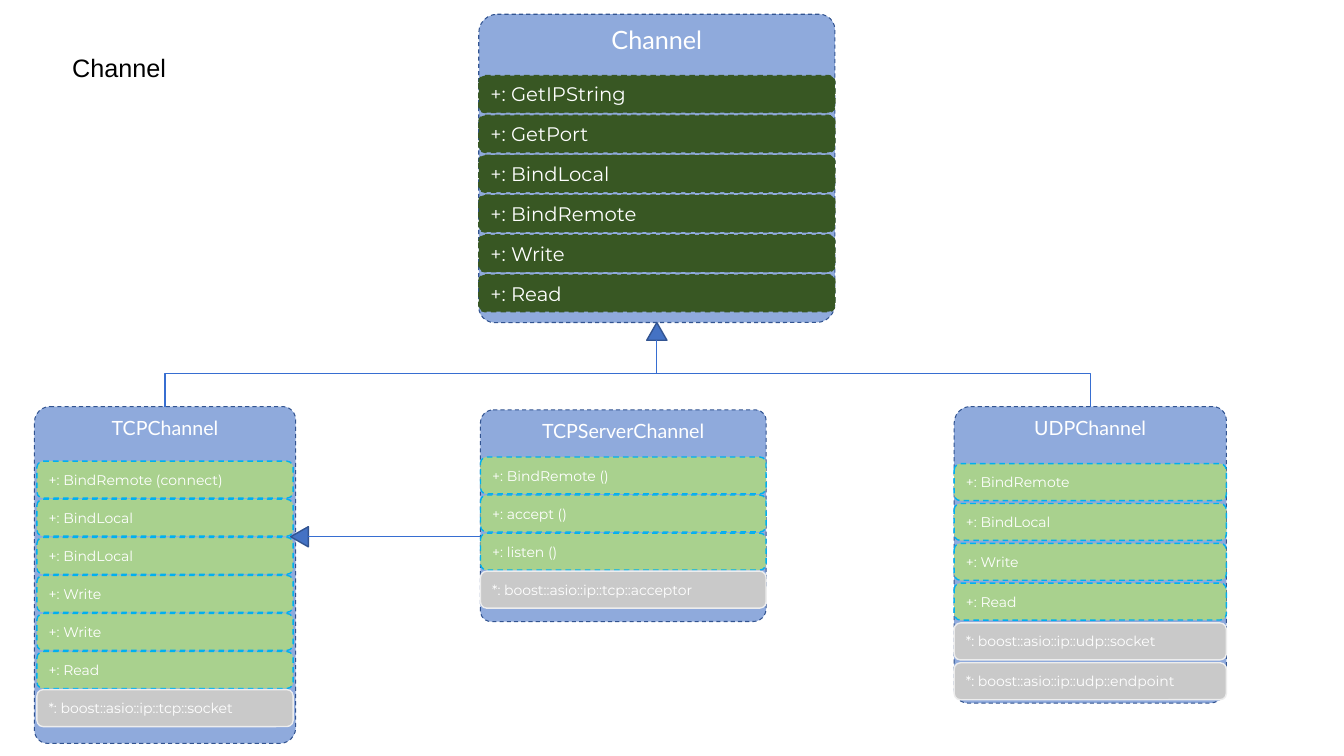
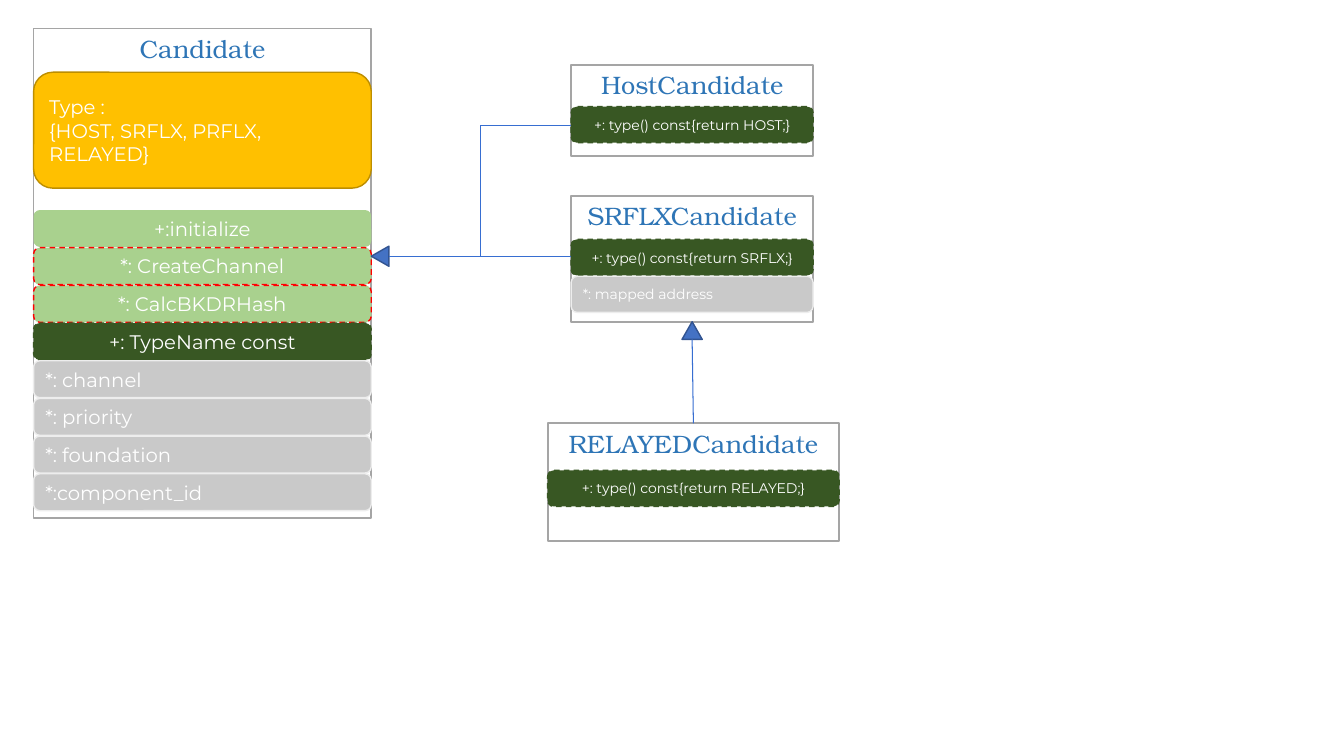
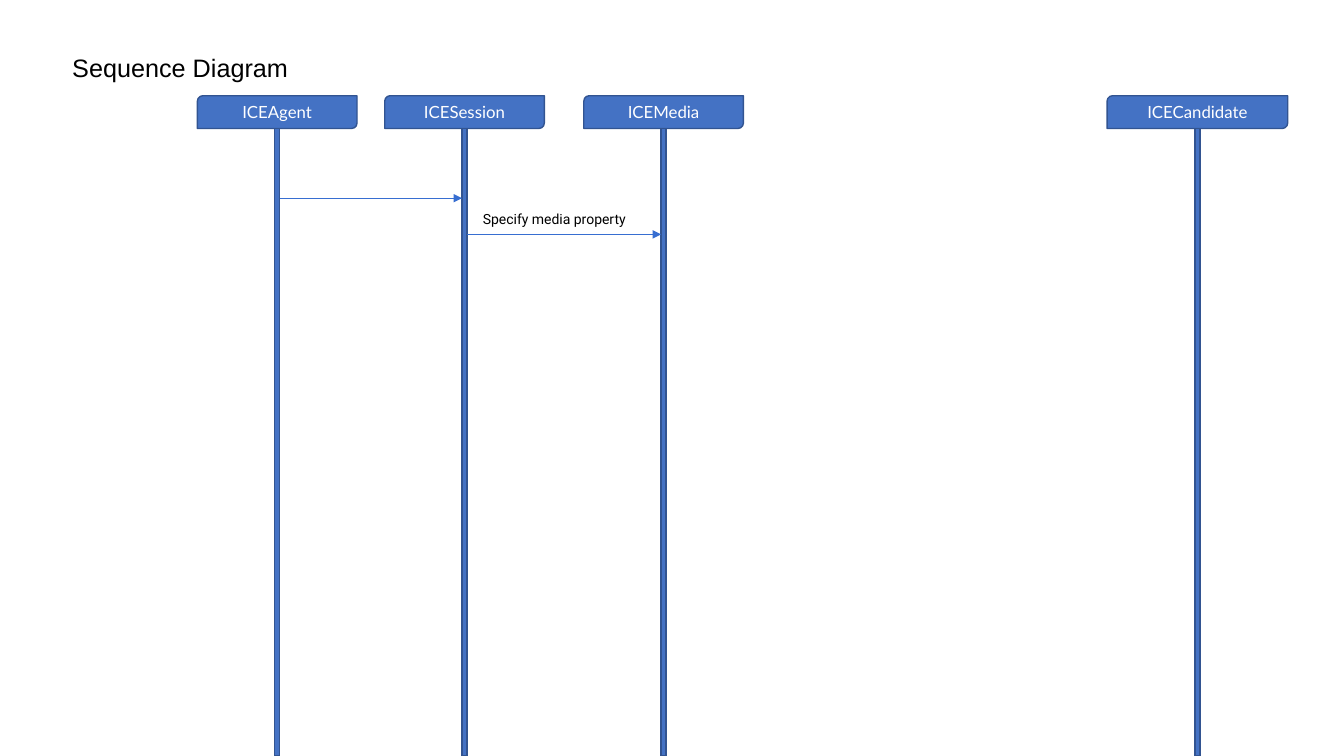
from collections import namedtuple

from lxml import etree
from pptx import Presentation
from pptx.dml.color import RGBColor
from pptx.enum.dml import MSO_LINE
from pptx.enum.shapes import MSO_CONNECTOR, MSO_SHAPE
from pptx.enum.text import MSO_ANCHOR, MSO_AUTO_SIZE, PP_ALIGN
from pptx.oxml.ns import qn
from pptx.util import Inches, Pt

LEFT, CENTER = PP_ALIGN.LEFT, PP_ALIGN.CENTER
TOP, MIDDLE = MSO_ANCHOR.TOP, MSO_ANCHOR.MIDDLE
STRAIGHT, ELBOW = MSO_CONNECTOR.STRAIGHT, MSO_CONNECTOR.ELBOW
RECT, ROUNDED = MSO_SHAPE.RECTANGLE, MSO_SHAPE.ROUNDED_RECTANGLE
DIAGONAL = MSO_SHAPE.ROUND_2_DIAG_RECTANGLE
TRIANGLE = MSO_SHAPE.ISOSCELES_TRIANGLE
TITLE_ONLY, BLANK = 5, 6

# The slide is a grid of 160 columns by 90 rows; all lengths are in its cells
COLUMNS, ROWS = 160, 90
SLIDE_W, SLIDE_H = Inches(13.33), Inches(7.5)

WHITE, BLACK = "FFFFFF", "000000"
BLUE, NAVY, LINK_BLUE = "4472C4", "325491", "376ED1"
HEADING_FONT, MEMBER_FONT, CANDIDATE_FONT = "Lato", "Montserrat", "TeX Gyre Bonum"

# Fill, line colour, line width, dashed
Look = namedtuple("Look", "fill line width dashed", defaults=(None, 1, False))
SOLID = Look(BLUE, NAVY)
ENUM = Look("FFC000", "BD8E00")
CHANNEL_CLASS = Look("8FAADC", NAVY, 0.75, True)
CANDIDATE_CLASS = Look(None, "A5A5A5", 1.25)
MEMBER_LOOKS = {
    "virtual": Look("385723", "385723", 1, True),
    "override": Look("A9D18E", "00B0F0", 1, True),
    "protected": Look("A9D18E", "FF0000", 1, True),
    "plain": Look("A9D18E"),
    "field": Look("C9C9C9", "EDEDED"),
}

MEMBER_H = 4.4
ARROW_W, ARROW_H = 2.4, 2.1


class Box(namedtuple("Box", "x y w h")):
    @property
    def center(self):
        return self.x + self.w / 2

    @property
    def bottom(self):
        return self.y + self.h


def across(cells):
    return int(SLIDE_W * cells / COLUMNS)


def down(cells):
    return int(SLIDE_H * cells / ROWS)


def place(box):
    return across(box.x), down(box.y), across(box.w), down(box.h)


def color(hex_string):
    return RGBColor.from_string(hex_string)


def write(frame, text, font, size, ink, align=LEFT, anchor=MIDDLE):
    frame.text = text
    frame.vertical_anchor = anchor
    for paragraph in frame.paragraphs:
        paragraph.alignment = align
        paragraph.font.name = font
        paragraph.font.size = Pt(size)
        paragraph.font.color.rgb = color(ink)


def add_block(slide, kind, box, look):
    block = slide.shapes.add_shape(kind, *place(box))
    block.shadow.inherit = False
    if look.fill:
        block.fill.solid()
        block.fill.fore_color.rgb = color(look.fill)
    else:
        block.fill.background()
    if look.line:
        block.line.color.rgb = color(look.line)
        block.line.width = Pt(look.width)
        if look.dashed:
            block.line.dash_style = MSO_LINE.DASH
    else:
        block.line.fill.background()
    return block


def add_link(slide, kind, start, end, arrow=False):
    link = slide.shapes.add_connector(
        kind, across(start[0]), down(start[1]), across(end[0]), down(end[1]))
    link.line.color.rgb = color(LINK_BLUE)
    link.line.width = Pt(0.75)
    if arrow:
        etree.SubElement(link.line._get_or_add_ln(), qn("a:tailEnd"), type="triangle")
    etree.SubElement(link._element.spPr, qn("a:effectLst"))
    return link


def add_tree_link(slide, start, end):
    """Elbow that leaves and arrives vertically: a sideways elbow, turned."""
    (x1, y1), (x2, y2) = start, end
    mid_x, mid_y = (x1 + x2) / 2, (y1 + y2) / 2
    half_drop, half_run = (y2 - y1) / 2, abs(x2 - x1) / 2
    side = 1 if x2 < x1 else -1
    link = add_link(slide, ELBOW,
                    (mid_x - side * half_drop, mid_y - half_run),
                    (mid_x + side * half_drop, mid_y + half_run))
    turn = 90 if side == 1 else 270
    link._element.spPr.find(qn("a:xfrm")).set("rot", str(turn * 60000))


def add_arrowhead(slide, tip, pointing_left=False):
    """Inheritance triangle; returns the middle of its base."""
    x, y = tip
    base = (x + ARROW_H, y) if pointing_left else (x, y + ARROW_H)
    mid_x, mid_y = (x + base[0]) / 2, (y + base[1]) / 2
    head = add_block(slide, TRIANGLE,
                     Box(mid_x - ARROW_W / 2, mid_y - ARROW_H / 2, ARROW_W, ARROW_H), SOLID)
    head.rotation = 270 if pointing_left else 0
    return base


def add_title(slide, text, width):
    title = slide.shapes.title
    title.left, title.top, title.width, title.height = place(Box(7.4, 5.6, width, 4.8))
    write(title.text_frame, text, "Arial", 18, BLACK)
    title.text_frame.word_wrap = False
    title.text_frame.auto_size = MSO_AUTO_SIZE.NONE


def add_members(slide, box, members, first, last, size, method_align=LEFT,
                inset=0, height=MEMBER_H):
    """Evenly spaced member rows; first and last are tops within the class box."""
    pitch = (last - first) / max(len(members) - 1, 1)
    for index, (kind, text) in enumerate(members):
        row_box = Box(box.x + inset, box.y + first + index * pitch,
                      box.w - 2 * inset, height)
        row = add_block(slide, ROUNDED, row_box, MEMBER_LOOKS[kind])
        align = LEFT if kind == "field" else method_align
        write(row.text_frame, text, MEMBER_FONT, size, WHITE, align)


def add_channel_class(slide, box, name, members, first, last,
                      name_size=14, member_size=10, inset=0):
    frame = add_block(slide, DIAGONAL, box, CHANNEL_CLASS)
    frame.adjustments[0], frame.adjustments[1] = 0.06, 0.05
    write(frame.text_frame, name, HEADING_FONT, name_size, WHITE, CENTER, TOP)
    add_members(slide, box, members, first, last, member_size, inset=inset)


def add_candidate_class(slide, box, name, members, first, last, size=10, height=4.3):
    frame = add_block(slide, RECT, box, CANDIDATE_CLASS)
    write(frame.text_frame, name, CANDIDATE_FONT, 18, "2E75B6", CENTER, TOP)
    add_members(slide, box, members, first, last, size, CENTER, height=height)


def add_lifeline(slide, box, name):
    head = add_block(slide, DIAGONAL, box, SOLID)
    write(head.text_frame, name, HEADING_FONT, 12, WHITE, CENTER)
    add_block(slide, RECT, Box(box.center - 0.3, box.bottom, 0.6, ROWS - box.bottom), SOLID)


def channel_slide(slide):
    add_title(slide, "Channel", 15.6)
    channel = Box(57, 1.7, 42.4, 36.7)
    tcp = Box(4.1, 48.4, 31.1, 40.1)
    server = Box(57.2, 48.8, 34, 25.2)
    udp = Box(113.6, 48.4, 32.4, 35.3)

    # Classes
    methods = ["GetIPString", "GetPort", "BindLocal", "BindRemote", "Write", "Read"]
    add_channel_class(slide, channel, "Channel",
                      [("virtual", f"+: {method}") for method in methods],
                      7.3, 31, name_size=18, member_size=14)
    subclasses = [
        (tcp, "TCPChannel",
         ["BindRemote (connect)", "BindLocal", "BindLocal", "Write", "Write", "Read"],
         ["tcp::socket"], 6.5, 33.7, 0.3),
        (server, "TCPServerChannel", ["BindRemote ()", "accept ()", "listen ()"],
         ["tcp::acceptor"], 5.6, 19.2, 0),
        (udp, "UDPChannel", ["BindRemote", "BindLocal", "Write", "Read"],
         ["udp::socket", "udp::endpoint"], 6.8, 30.5, 0),
    ]
    for box, name, overrides, fields, first, last, inset in subclasses:
        members = [("override", f"+: {method}") for method in overrides]
        members += [("field", f"*: boost::asio::ip::{field}") for field in fields]
        add_channel_class(slide, box, name, members, first, last, inset=inset)

    # Inheritance
    base = add_arrowhead(slide, (channel.center, channel.bottom))
    for child in (tcp, udp):
        add_tree_link(slide, base, (child.center, child.y))
    server_base = add_arrowhead(slide, (34.6, 63.9), pointing_left=True)
    add_link(slide, STRAIGHT, server_base, (server.x, server_base[1]))


def candidate_slide(slide):
    candidate = Box(4, 3.4, 40.2, 58.3)
    host = Box(68, 7.7, 28.8, 10.9)
    srflx = Box(68, 23.3, 28.8, 15)
    relayed = Box(65.2, 50.4, 34.7, 14)

    # Base class with its type list
    add_candidate_class(slide, candidate, "Candidate", [
        ("plain", "+:initialize"),
        ("protected", "*: CreateChannel"),
        ("protected", "*: CalcBKDRHash"),
        ("virtual", "+: TypeName const"),
        ("field", "*: channel"),
        ("field", "*: priority"),
        ("field", "*: foundation"),
        ("field", "*:component_id"),
    ], 21.6, 53, size=14, height=MEMBER_H)
    types = add_block(slide, ROUNDED,
                      Box(candidate.x, candidate.y + 5.2, candidate.w, 13.8), ENUM)
    write(types.text_frame, "Type :\n{HOST, SRFLX, PRFLX, RELAYED}",
          MEMBER_FONT, 14, WHITE)

    # Derived classes
    for box, kind, fields, first, last in [
        (host, "HOST", [], 5, 5),
        (srflx, "SRFLX", [("field", "*: mapped address")], 5.2, 9.6),
        (relayed, "RELAYED", [], 5.6, 5.6),
    ]:
        name = "Host" if kind == "HOST" else kind
        members = [("virtual", f"+: type() const{{return {kind};}}")] + fields
        add_candidate_class(slide, box, f"{name}Candidate", members, first, last)

    # Inheritance
    base = add_arrowhead(slide, (candidate.x + candidate.w, 30.5), pointing_left=True)
    add_link(slide, ELBOW, base, (host.x, 14.9))
    add_link(slide, STRAIGHT, base, (srflx.x, base[1]))
    srflx_base = add_arrowhead(slide, (srflx.center, srflx.bottom))
    add_link(slide, STRAIGHT, srflx_base, (relayed.center, relayed.y))


def sequence_slide(slide):
    add_title(slide, "Sequence Diagram", 32.3)

    # Lifelines
    heads = {
        name: Box(x, 11.4, width, 3.9)
        for name, x, width in [("ICEAgent", 23.5, 19), ("ICESession", 45.8, 19),
                               ("ICEMedia", 69.5, 19), ("ICECandidate", 131.8, 21.5)]
    }
    for name, box in heads.items():
        add_lifeline(slide, box, name)

    # Messages
    for sender, receiver, y in [("ICEAgent", "ICESession", 23.6),
                                ("ICESession", "ICEMedia", 27.9)]:
        add_link(slide, STRAIGHT, (heads[sender].center + 0.3, y),
                 (heads[receiver].center - 0.3, y), arrow=True)
    label = slide.shapes.add_textbox(
        *place(Box(heads["ICESession"].center + 1, 24.5, 21, 3.2)))
    label.text_frame.word_wrap = True
    write(label.text_frame, "Specify media property", "Roboto", 10, BLACK, anchor=TOP)


deck = Presentation()
deck.slide_width, deck.slide_height = SLIDE_W, SLIDE_H
for build, layout in [(channel_slide, TITLE_ONLY), (candidate_slide, BLANK),
                      (sequence_slide, TITLE_ONLY)]:
    build(deck.slides.add_slide(deck.slide_layouts[layout]))
deck.save("out.pptx")
